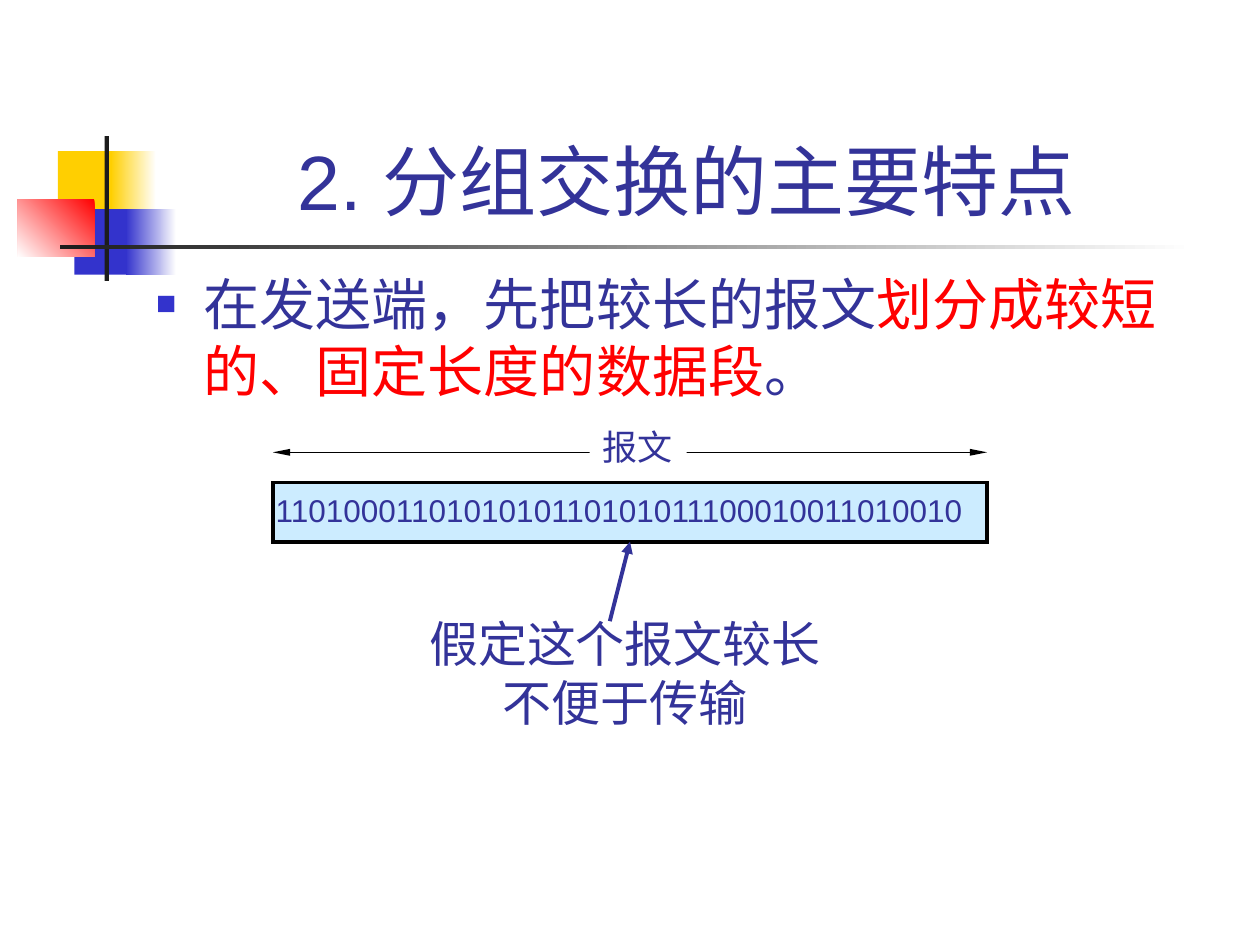
from dataclasses import dataclass
from lxml.etree import SubElement
from pptx import Presentation
from pptx.dml.color import RGBColor
from pptx.enum.shapes import MSO_CONNECTOR, MSO_SHAPE
from pptx.enum.text import MSO_ANCHOR, MSO_AUTO_SIZE, PP_ALIGN
from pptx.oxml.ns import qn
from pptx.util import Inches, Pt


@dataclass(frozen=True)
class Theme:
    """Colours, fonts and type sizes of the slide."""
    ink: str = "333399"
    accent: str = "FF0000"
    blue: str = "3333CC"
    yellow: str = "FFCF01"
    dark: str = "1C1C1C"
    pale: str = "CCECFF"
    white: str = "FFFFFF"
    black: str = "000000"
    sans: str = "Arial"
    serif: str = "Times New Roman"
    note: str = "Roboto"
    title_size: int = 44
    body_size: int = 32
    note_size: int = 28
    label_size: int = 20
    bits_size: int = 18


T = Theme()
COLS, ROWS = 100, 75
CELL = Inches(0.1)
GROW = {"word_wrap": False, "auto_size": MSO_AUTO_SIZE.SHAPE_TO_FIT_TEXT}


def grid(*cells):
    """Turn grid cells into lengths."""
    return [round(c * CELL) for c in cells]


def put(obj, values):
    """Set the attributes of an object from a dict."""
    for name, value in values.items():
        setattr(obj, name, value)


def rgb(code):
    """Turn a hex code into a colour."""
    return RGBColor.from_string(code)


def add_block(shapes, box, fill=None, line=None, width=0):
    """Add a rectangle with an optional fill and mitred outline."""
    sp = shapes.add_shape(MSO_SHAPE.RECTANGLE, *grid(*box))
    sp.shadow.inherit = False
    if fill:
        sp.fill.solid()
        sp.fill.fore_color.rgb = rgb(fill)
    else:
        sp.fill.background()
    if line:
        sp.line.color.rgb = rgb(line)
        sp.line.width = Pt(width)
        SubElement(sp.line._get_or_add_ln(), qn("a:miter"), lim="800000")
    else:
        sp.line.fill.background()
    return sp


def add_fade(shapes, box, start, end, angle=180):
    """Add a rectangle with a two-colour gradient."""
    sp = add_block(shapes, box)
    sp.fill.gradient()
    sp.fill.gradient_angle = angle
    for stop, code, position in zip(sp.fill.gradient_stops, (start, end), (0, 1)):
        stop.color.rgb = rgb(code)
        stop.position = position


def add_arrow(shapes, ends, color, width, heads, shape=("med", "med")):
    """Add a straight line with triangle arrowheads."""
    cn = shapes.add_connector(MSO_CONNECTOR.STRAIGHT, *grid(*ends))
    cn.line.color.rgb = rgb(color)
    cn.line.width = Pt(width)
    for head in heads:
        SubElement(cn.line._get_or_add_ln(), qn(f"a:{head}"),
                   type="triangle", w=shape[0], len=shape[1])
    SubElement(cn._element.spPr, qn("a:effectLst"))


def write(sp, paragraphs, font, size, frame, align=PP_ALIGN.LEFT):
    """Write paragraphs of (text, colour) runs into a shape."""
    tf = sp.text_frame
    put(tf, {"vertical_anchor": MSO_ANCHOR.TOP, **frame})
    for i, runs in enumerate(paragraphs):
        p = tf.add_paragraph() if i else tf.paragraphs[0]
        p.alignment = align
        for text, color in runs:
            r = p.add_run()
            r.text = text
            put(r.font, {"name": font, "size": Pt(size)})
            r.font.color.rgb = rgb(color)
    return tf


def add_text(shapes, box, *args, **kwargs):
    """Add a text box and write into it."""
    return write(shapes.add_textbox(*grid(*box)), *args, **kwargs)


def add_bullet(p, color, percent, indent):
    """Give a paragraph a square bullet and a hanging indent."""
    pPr = p._p.get_or_add_pPr()
    pPr.set("marL", str(Inches(indent)))
    pPr.set("indent", str(-Inches(indent)))
    SubElement(SubElement(pPr, qn("a:buClr")), qn("a:srgbClr"), val=color)
    SubElement(pPr, qn("a:buSzPct"), val=str(percent * 1000))
    SubElement(pPr, qn("a:buFont"), typeface=T.sans)
    SubElement(pPr, qn("a:buChar"), char="■")


def add_emblem(shapes):
    """Add the coloured squares and the crossing rules."""
    add_block(shapes, (4.6, 12, 4.8, 5.2), T.yellow)
    add_fade(shapes, (8.8, 12, 3.6, 5.2), T.white, T.yellow)
    add_block(shapes, (5.9, 16.6, 4.6, 5.2), T.blue)
    add_fade(shapes, (10, 16.6, 4, 5.2), T.white, T.blue)
    add_fade(shapes, (1.4, 15.8, 6.1, 4.6), T.accent, T.white, 225)
    add_block(shapes, (8.3, 10.8, 0.35, 11.5), T.dark)
    add_fade(shapes, (4.8, 19.45, 90, 0.35), T.white, T.dark)


def add_headings(shapes):
    """Add the title and the bulleted statement."""
    add_text(shapes, (12.6, 2.4, 85.2, 16), [[("2. 分组交换的主要特点 ", T.ink)]],
             T.sans, T.title_size,
             {"word_wrap": True, "vertical_anchor": MSO_ANCHOR.BOTTOM},
             PP_ALIGN.CENTER)
    tf = add_text(shapes, (11.4, 20.9, 85, 45),
                  [[("在发送端，先把较长的报文", T.ink),
                    ("划分成较短的、固定长度的数据段", T.accent), ("。", T.ink)]],
                  T.sans, T.body_size, {"word_wrap": True})
    tf.paragraphs[0].space_before = Pt(8)
    add_bullet(tf.paragraphs[0], T.blue, 60, 0.38)


def add_message(shapes):
    """Add the measured message bar with its bits."""
    left, top, width, height, parts = 21.65, 38.3, 56.7, 4.7, 3
    add_arrow(shapes, (left, 35.9, left + width, 35.9), T.black, 0.75,
              ("headEnd", "tailEnd"), ("sm", "lg"))
    label = add_block(shapes, (46.8, 33.3, 7.7, 4.4), T.white)
    write(label, [[("报文", T.ink)]], T.serif, T.label_size, GROW)
    bar = shapes.add_group_shape().shapes
    step = width / parts
    for i in range(parts):
        add_block(bar, (left + i * step, top, step, height), T.pale)
    add_block(bar, (left, top, width, height), line=T.black, width=2.25)
    add_text(bar, (20.9, 38.5, 57.6, 4),
             [[("1101000110101010110101011100010011010010", T.ink)]],
             T.sans, T.bits_size, GROW)


def add_note(shapes):
    """Add the remark that points at the message bar."""
    note = shapes.add_group_shape().shapes
    add_text(note, (32.6, 48.2, 34, 10.4),
             [[("假定这个报文较长", T.ink)], [("不便于传输", T.ink)]],
             T.note, T.note_size, GROW, PP_ALIGN.CENTER)
    add_arrow(note, (48.4, 49.3, 50, 43), T.ink, 2.25, ("tailEnd",))


def main():
    """Build the slide and save it."""
    prs = Presentation()
    put(prs, {"slide_width": COLS * CELL, "slide_height": ROWS * CELL})
    s = prs.slides.add_slide(prs.slide_layouts[6])
    for add in (add_emblem, add_headings, add_message, add_note):
        add(s.shapes)
    prs.save("out.pptx")


if __name__ == "__main__":
    main()
